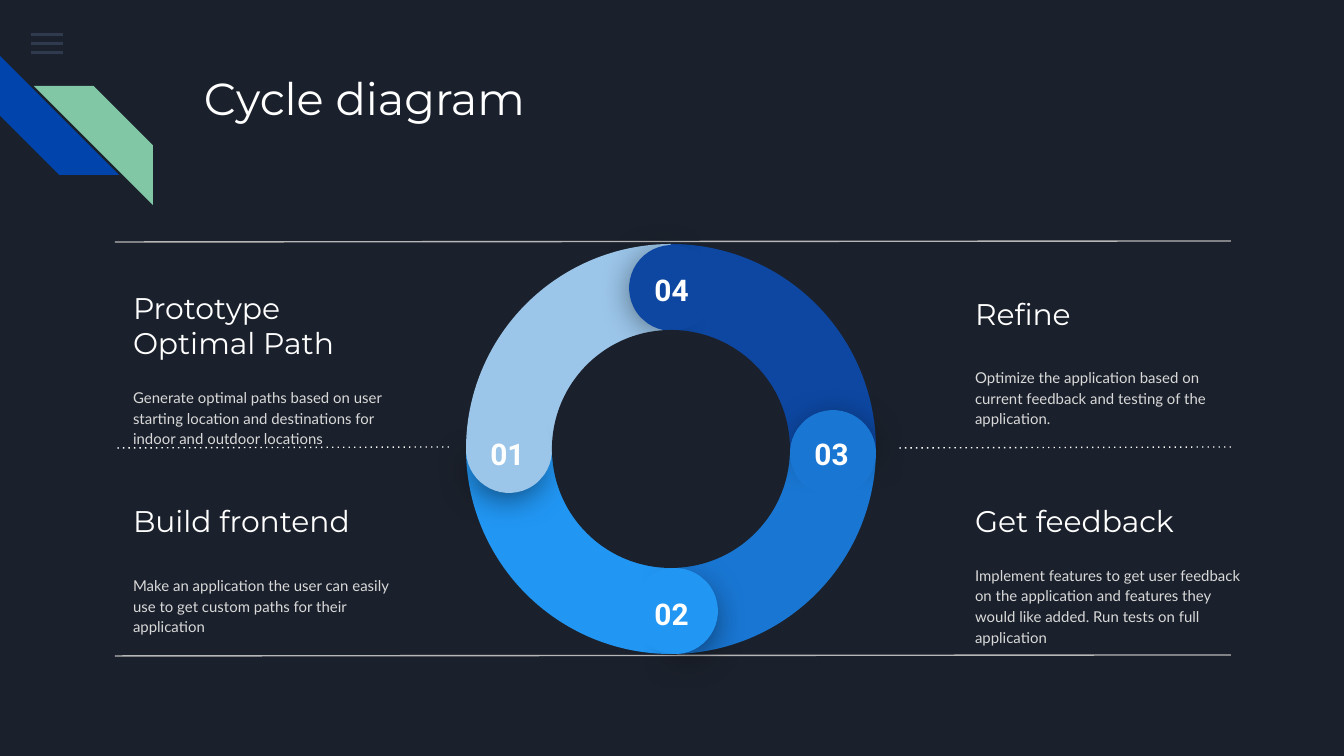
from lxml.etree import SubElement
from pptx import Presentation
from pptx.dml.color import RGBColor
from pptx.enum.shapes import MSO_CONNECTOR, MSO_SHAPE as Shape
from pptx.enum.text import MSO_ANCHOR as Anchor, PP_ALIGN as Align
from pptx.oxml.ns import qn
from pptx.util import Pt

SCALE = 914400 / 134.4
COLORS = {
    "night": "1B212C", "white": "FFFFFF", "body": "D9D9D9", "rule": "B7B7B7",
    "menu": "55688B", "stripe_blue": "0145AC", "stripe_green": "82C7A5",
    "pale": "9BC5E9", "sky": "2196F3", "mid": "1976D2", "navy": "0D47A1",
    "shadow": "000000",
}
TOPICS = [
    ("Prototype Optimal Path", 120, 292,
     "Generate optimal paths based on user starting location and destinations "
     "for indoor and outdoor locations", 366),
    ("Build frontend", 120, 488,
     "Make an application the user can easily use to get custom paths for their application", 554),
    ("Refine", 962, 281,
     "Optimize the application based on current feedback and testing of the application.", 346),
    ("Get feedback", 962, 488,
     "Implement features to get user feedback on the application and features they would "
     "like added. Run tests on full application", 554),
]
QUARTERS = [("pale", 0), ("navy", 90), ("mid", 180), ("sky", 270)]
CAPS = [
    ("01", "pale", 0, (468, 413), (466, 407), (470, 423)),
    ("02", "sky", 270, (637, 575), (632, 568), (634, 583)),
    ("03", "mid", 180, (797, 413), (790, 410), (794, 423)),
    ("04", "navy", 90, (632, 246), (629, 245), (634, 259)),
]


def px(value):
    """Turn pixels into EMU."""
    return round(value * SCALE)


def color(name):
    """Look up a named colour."""
    return RGBColor.from_string(COLORS[name])


def add_shape(page, kind, left, top, width, height, fill, turn=0, adjust=()):
    """Add a flat, unlined preset shape."""
    shape = page.shapes.add_shape(kind, px(left), px(top), px(width), px(height))
    shape.fill.solid()
    shape.fill.fore_color.rgb = color(fill)
    shape.line.fill.background()
    shape.shadow.inherit = False
    shape.rotation = turn
    for index, value in enumerate(adjust):
        shape.adjustments[index] = value
    return shape


def set_alpha(fill, percent):
    """Make a colour element partly transparent."""
    SubElement(fill, qn("a:alpha"), val=str(percent * 1000))


def add_shadow(shape):
    """Give a shape a soft shadow that falls straight down."""
    effects = shape._element.spPr.find(qn("a:effectLst"))
    shadow = SubElement(effects, qn("a:outerShdw"), blurRad=str(Pt(18)), dist=str(Pt(4)),
                        dir="5400000", algn="bl", rotWithShape="0")
    set_alpha(SubElement(shadow, qn("a:srgbClr"), val=COLORS["shadow"]), 55)


def add_text(page, text, left, top, width, height, size, font, fill="white", bold=False,
             align=Align.LEFT, anchor=Anchor.TOP, spacing=None, after=None):
    """Add a wrapped text box holding one paragraph."""
    box = page.shapes.add_textbox(px(left), px(top), px(width), px(height))
    frame = box.text_frame
    frame.word_wrap = True
    frame.vertical_anchor = anchor
    frame.margin_left = frame.margin_right = frame.margin_top = frame.margin_bottom = px(13)
    para = frame.paragraphs[0]
    para.alignment = align
    para.line_spacing = spacing
    para.space_after = after
    span = para.add_run()
    span.text = text
    span.font.size = Pt(size)
    span.font.name = font
    span.font.bold = bold
    span.font.color.rgb = color(fill)


def add_rule(page, right, left, top, fill, dotted=False):
    """Add a thin rule that drops one pixel towards its left end."""
    rule = page.shapes.add_connector(MSO_CONNECTOR.STRAIGHT, px(right), px(top),
                                     px(left), px(top + 1))
    rule.line.width = Pt(0.75)
    rule.line.color.rgb = color(fill)
    properties = rule._element.spPr
    if dotted:
        SubElement(properties.find(qn("a:ln")), qn("a:prstDash"), val="dot")
    SubElement(properties, qn("a:effectLst"))


def add_decoration(page):
    """Add the menu bars and the two corner stripes."""
    for row in range(3):
        bar = add_shape(page, Shape.RECTANGLE, 31, 33 + 9 * row, 32, 3, "menu")
        set_alpha(bar._element.spPr.find(qn("a:solidFill"))[0], 36)
    add_shape(page, Shape.DIAGONAL_STRIPE, 0, 56, 119, 119, "stripe_blue", 270, [0.5])
    green = add_shape(page, Shape.DIAGONAL_STRIPE, 34, 86, 119, 119, "stripe_green", 0, [0.5])
    green._element.spPr.find(qn("a:xfrm")).set("flipH", "1")


def add_topic(page, heading, left, top, body, body_top):
    """Add a heading with its description."""
    add_text(page, body, left, body_top, 293, 102, 8, "Lato", fill="body",
             anchor=Anchor.MIDDLE, spacing=1.15, after=Pt(16))
    add_text(page, heading, left, top, 273, 66, 16, "Montserrat", anchor=Anchor.MIDDLE)


def add_cap(page, number, fill, turn, shade, disc, label):
    """Add the numbered round end of one ring segment."""
    half = add_shape(page, Shape.PIE, *shade, 77, 77, fill, turn + 39.5, [189.54, 83.81])
    add_shadow(half)
    add_shape(page, Shape.CHORD, *disc, 86, 86, fill, turn + 4.1, [25.01, 18.12])
    add_text(page, number, *label, 75, 39, 16, "Roboto", bold=True, align=Align.CENTER)


def add_cycle(page):
    """Add the four-part ring."""
    for fill, turn in QUARTERS:
        add_shape(page, Shape.PIE, 466, 244, 410, 410, fill, turn, [107.96, 162.01])
    for cap in CAPS:
        add_cap(page, *cap)
    add_shape(page, Shape.OVAL, 552, 330, 238, 238, "night")


def main():
    """Build and save the cycle diagram slide."""
    deck = Presentation()
    deck.slide_width, deck.slide_height = px(1344), px(756)
    page = deck.slides.add_slide(deck.slide_layouts[6])
    page.background.fill.solid()
    page.background.fill.fore_color.rgb = color("night")
    add_decoration(page)
    add_text(page, "Cycle diagram", 191, 58, 1035, 134, 24, "Montserrat")
    for topic in TOPICS:
        add_topic(page, *topic)
    for top in (241, 655):
        add_rule(page, 1231, 115, top, "rule")
    for right, left in ((449, 115), (1231, 897)):
        add_rule(page, right, left, 447, "white", dotted=True)
    add_cycle(page)
    deck.save("out.pptx")


if __name__ == "__main__":
    main()
